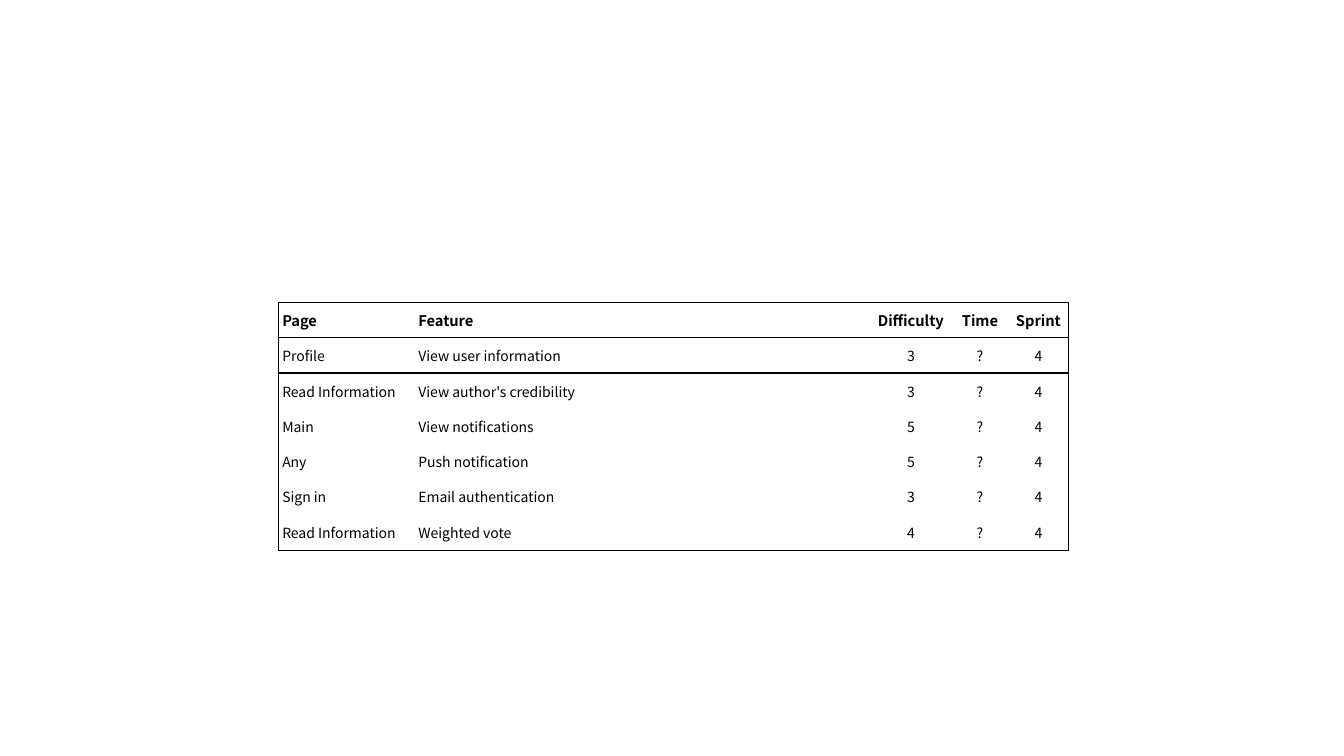
"""Build a slide with a bordered table of sprint features."""
from lxml.etree import SubElement
from pptx import Presentation
from pptx.dml.color import RGBColor
from pptx.enum.text import MSO_ANCHOR as Anchor, PP_ALIGN as Align
from pptx.oxml.ns import qn
from pptx.util import Inches, Pt

FONT = "Noto Sans CJK KR"
BLACK = "000000"
ROWS = [
    ("Page", "Feature", "Difficulty", "Time", "Sprint"),
    ("Profile", "View user information", "3", "?", "4"),
    ("Read Information", "View author's credibility", "3", "?", "4"),
    ("Main", "View notifications", "5", "?", "4"),
    ("Any", "Push notification", "5", "?", "4"),
    ("Sign in", "Email authentication", "3", "?", "4"),
    ("Read Information", "Weighted vote", "4", "?", "4"),
]
WIDTHS = [1.38, 4.49, 0.81, 0.56, 0.6]
HEIGHTS = [0.35] * 6 + [0.36]
ACROSS = [0.5, 0.5, 1, 0, 0, 0, 0, 0.5]
DOWN = [0.5, 0, 0, 0, 0, 0.5]


def color(value):
    return RGBColor.from_string(value)


def add_border(cell, side, weight):
    line = SubElement(cell._tc.get_or_add_tcPr(), qn(f"a:ln{side}"), w=str(Pt(weight)))
    if weight:
        SubElement(SubElement(line, qn("a:solidFill")), qn("a:srgbClr"), val=BLACK)
    else:
        SubElement(line, qn("a:noFill"))


deck = Presentation()
deck.slide_width, deck.slide_height = Inches(13.33), Inches(7.5)
page = deck.slides.add_slide(deck.slide_layouts[6])

frame = page.shapes.add_table(len(ROWS), len(WIDTHS), Inches(2.76), Inches(3),
                              Inches(sum(WIDTHS)), Inches(sum(HEIGHTS)))
table = frame.table
table.first_row = table.horz_banding = False
for column, width in zip(table.columns, WIDTHS):
    column.width = Inches(width)
for row, height in zip(table.rows, HEIGHTS):
    row.height = Inches(height)

for r, texts in enumerate(ROWS):
    for c, text in enumerate(texts):
        cell = table.cell(r, c)
        cell.vertical_anchor = Anchor.MIDDLE
        cell.margin_left = Inches(0.04 if c == 0 else 0.01)
        cell.margin_right = cell.margin_top = Inches(0.01)
        cell.margin_bottom = 0
        borders = {"L": DOWN[c], "R": DOWN[c + 1], "T": ACROSS[r], "B": ACROSS[r + 1]}
        for side, weight in borders.items():
            add_border(cell, side, weight)
        cell.fill.background()
        para = cell.text_frame.paragraphs[0]
        para.alignment = Align.LEFT if c < 2 else Align.CENTER
        span = para.add_run()
        span.text = text
        span.font.name = FONT
        span.font.size = Pt(10.5 if r == 0 else 10)
        span.font.bold = r == 0
        span.font.color.rgb = color(BLACK)

deck.save("out.pptx")
